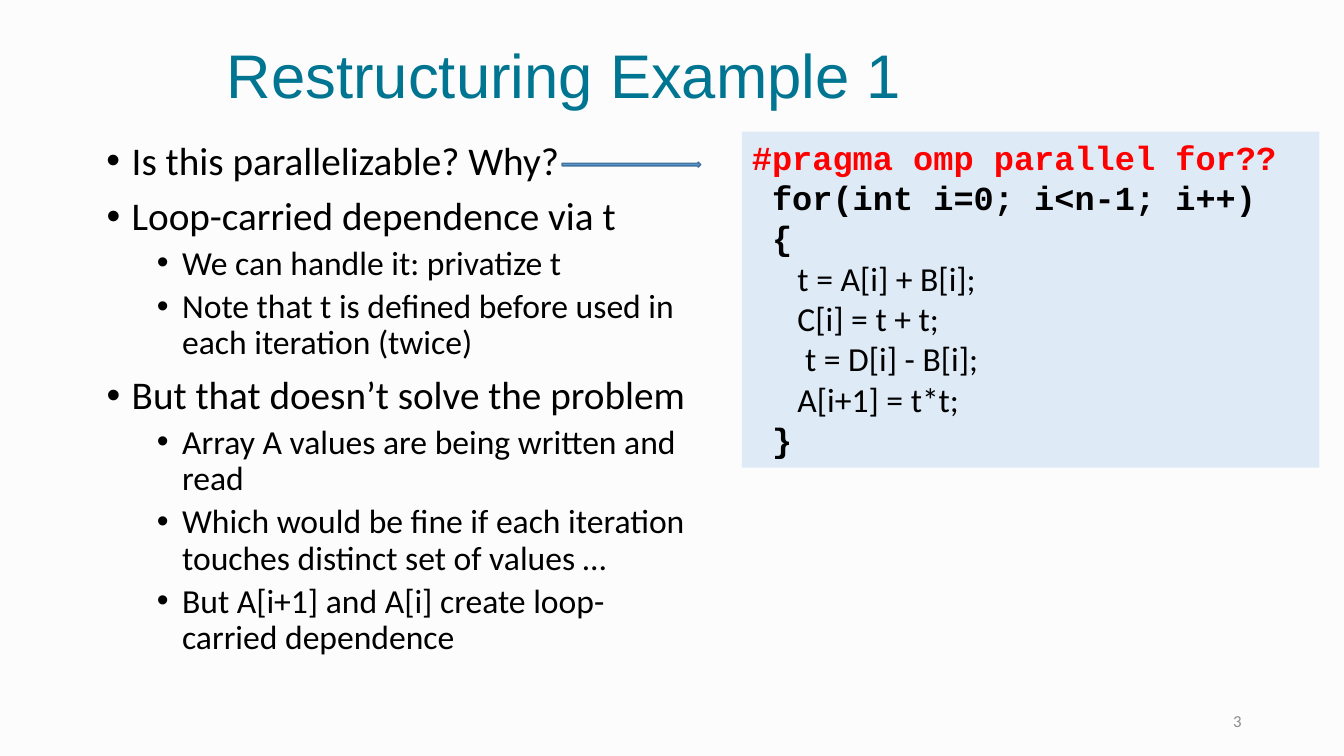
"""Build the slide 'Restructuring Example 1' on loop-carried dependence."""
from lxml import etree
from pptx import Presentation
from pptx.dml.color import RGBColor
from pptx.enum import shapes, text
from pptx.oxml.ns import qn
from pptx.util import Pt

TITLE = "Restructuring Example 1"
QUESTION = [(0, "Is this parallelizable? Why?")]
ANSWERS = [
    (0, "Loop-carried dependence via t"),
    (1, "We can handle it: privatize t"),
    (1, "Note that t is defined before used in each iteration (twice)"),
    (0, "But that doesn’t solve the problem"),
    (1, "Array A values are being written and read"),
    (1, "Which would be fine if each iteration touches distinct set of values …"),
    (1, "But A[i+1] and A[i] create loop-carried dependence"),
]
CODE = [
    ("pragma", "#pragma omp parallel for??"),
    ("frame", " for(int i=0; i<n-1; i++)"),
    ("frame", " {"),
    ("step", "      t = A[i] + B[i];"),
    ("step", "      C[i] = t + t;"),
    ("step", "       t = D[i] - B[i];"),
    ("step", "      A[i+1] = t*t;"),
    ("frame", " }"),
]
PAGE = "3"

THEME = {
    "background": "FCFCFC", "panel": "DEEBF7",
    "arrow": "5B9BD5", "arrow_edge": "43739E",
    "title": ("Arial", 44, "007592", False),
    "bullets": [("Calibri", 28, "000000", False), ("Calibri", 24, "000000", False)],
    "pragma": ("Courier New", 24, "FF0000", True),
    "frame": ("Courier New", 24, "000000", True),
    "step": ("Calibri", 24, "000000", False),
    "page": ("Calibri", 12, "8C8C8C", False),
}
LEFT = 69
HANG = 18
LEVEL_STEP = 36


def color(code):
    return RGBColor.from_string(code)


def style(paragraph, face):
    font = paragraph.font
    font.name, size, shade, font.bold = face
    font.size = Pt(size)
    font.color.rgb = color(shade)


def add_paragraph(frame, index, words):
    paragraph = frame.paragraphs[0] if index == 0 else frame.add_paragraph()
    paragraph.text = words
    return paragraph


def add_text(slide, box, anchor=text.MSO_ANCHOR.TOP):
    frame = slide.shapes.add_textbox(*map(Pt, box)).text_frame
    frame.word_wrap = True
    frame.vertical_anchor = anchor
    return frame


def add_line(slide, box, words, face, align):
    frame = add_text(slide, box, text.MSO_ANCHOR.MIDDLE)
    line = add_paragraph(frame, 0, words)
    line.alignment = align
    style(line, face)
    return line


def add_bullets(slide, box, items, spacing):
    frame = add_text(slide, box)
    for index, (level, words) in enumerate(items):
        point = add_paragraph(frame, index, words)
        point.level = level
        point.line_spacing = spacing
        point.space_before = Pt((10, 5)[level] if index else 0)
        props = point._p.get_or_add_pPr()
        props.set("marL", str(Pt(HANG + LEVEL_STEP * level)))
        props.set("indent", str(-Pt(HANG)))
        etree.SubElement(props, qn("a:buFont")).set("typeface", "Arial")
        etree.SubElement(props, qn("a:buChar")).set("char", "•")
        style(point, THEME["bullets"][level])


def add_block(slide, preset, box, fill):
    block = slide.shapes.add_shape(preset, *map(Pt, box))
    block.shadow.inherit = False
    block.fill.solid()
    block.fill.fore_color.rgb = color(fill)
    return block


def add_code(slide, box):
    panel = add_block(slide, shapes.MSO_SHAPE.RECTANGLE, box, THEME["panel"])
    panel.line.fill.background()
    frame = panel.text_frame
    frame.word_wrap = True
    frame.vertical_anchor = text.MSO_ANCHOR.TOP
    for index, (role, words) in enumerate(CODE):
        line = add_paragraph(frame, index, words)
        line.alignment = text.PP_ALIGN.LEFT
        style(line, THEME[role])


def main():
    deck = Presentation()
    deck.slide_width, deck.slide_height = Pt(960), Pt(540)
    slide = deck.slides.add_slide(deck.slide_layouts[6])
    slide.background.fill.solid()
    slide.background.fill.fore_color.rgb = color(THEME["background"])

    title = add_line(slide, (155, 20, 648, 72), TITLE, THEME["title"], text.PP_ALIGN.LEFT)
    title.line_spacing = 0.9
    add_bullets(slide, (LEFT, 137, 431, 343), ANSWERS, 0.9)
    add_line(slide, (678, 500.5, 216, 29), PAGE, THEME["page"], text.PP_ALIGN.RIGHT)
    add_code(slide, (530, 94, 412.5, 240))
    arrow = add_block(slide, shapes.MSO_SHAPE.RIGHT_ARROW,
                      (401.5, 115.8, 99, 3.6), THEME["arrow"])
    arrow.line.color.rgb = color(THEME["arrow_edge"])
    arrow.line.width = Pt(1)
    add_bullets(slide, (LEFT, 94, 343.5, 41), QUESTION, 1.0)
    deck.save("out.pptx")


if __name__ == "__main__":
    main()
